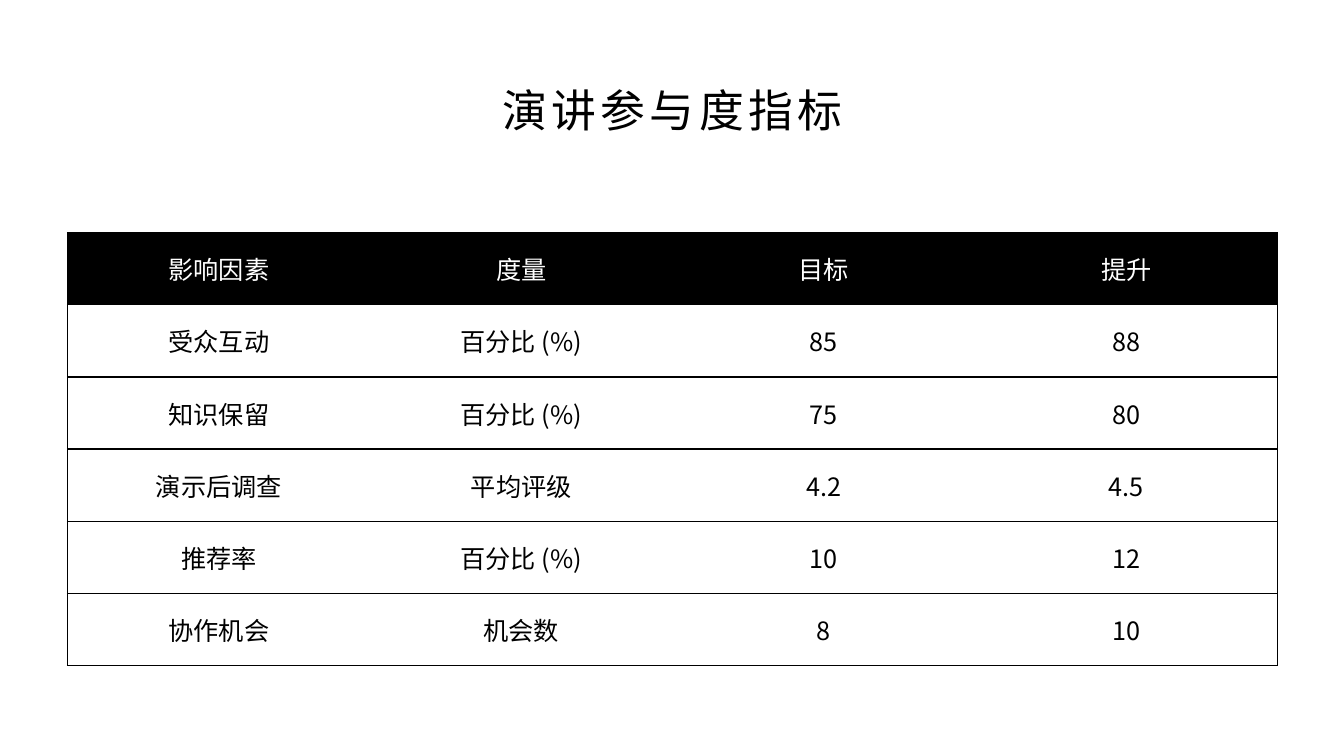
import pptx
import pptx.util
import pptx.dml.color
import pptx.enum.text
import pptx.oxml.ns
import lxml.etree

HUES = {"ink": "000000", "paper": "FFFFFF"}
FACE = "Noto Sans CJK SC"
ROWS = [
    ("影响因素", "度量", "目标", "提升"),
    ("受众互动", "百分比 (%)", "85", "88"),
    ("知识保留", "百分比 (%)", "75", "80"),
    ("演示后调查", "平均评级", "4.2", "4.5"),
    ("推荐率", "百分比 (%)", "10", "12"),
    ("协作机会", "机会数", "8", "10"),
]


def write(frame, text, size, hue):
    """Put one centred line in the frame, in the deck's font."""
    frame.vertical_anchor = pptx.enum.text.MSO_ANCHOR.MIDDLE
    para = frame.paragraphs[0]
    para.alignment = pptx.enum.text.PP_ALIGN.CENTER
    run = para.add_run()
    run.text = text
    look = {"name": FACE, "size": pptx.util.Pt(size), "bold": False}
    for key, value in look.items():
        setattr(run.font, key, value)
    run.font.color.rgb = pptx.dml.color.RGBColor.from_string(HUES[hue])
    props = run._r.get_or_add_rPr()
    lxml.etree.SubElement(props, pptx.oxml.ns.qn("a:ea"), typeface=FACE)
    return para, props


def edge(cell, side, drawn):
    """Draw or hide one border of a cell."""
    props = cell._tc.get_or_add_tcPr()
    line = lxml.etree.SubElement(props, pptx.oxml.ns.qn("a:ln" + side), w="12700")
    kind = "a:solidFill" if drawn else "a:noFill"
    fill = lxml.etree.SubElement(line, pptx.oxml.ns.qn(kind))
    if drawn:
        lxml.etree.SubElement(fill, pptx.oxml.ns.qn("a:srgbClr"), val=HUES["ink"])


deck = pptx.Presentation()
deck.slide_width = pptx.util.Inches(13.33)
deck.slide_height = pptx.util.Inches(7.5)
slide = deck.slides.add_slide(deck.slide_layouts[5])

# Title
title = slide.shapes.title
place = {"left": 0.92, "top": 0.4, "width": 11.5, "height": 1.45}
for key, value in place.items():
    setattr(title, key, pptx.util.Inches(value))
para, props = write(title.text_frame, "演讲参与度指标", 32, "ink")
para.line_spacing = 0.9
props.set("spc", "300")

# Table: equal columns and rows
count, last = len(ROWS), len(ROWS[0]) - 1
wide, high = pptx.util.Inches(3), pptx.util.Inches(4.29 / count)
table = slide.shapes.add_table(
    count, last + 1, pptx.util.Inches(0.67), pptx.util.Inches(2.31),
    wide * (last + 1), high * count).table
for key in ("first_row", "horz_banding"):
    setattr(table, key, False)
for col in table.columns:
    col.width = wide
for row in table.rows:
    row.height = high

for r, row in enumerate(ROWS):
    ground, hue = ("ink", "paper") if r == 0 else ("paper", "ink")
    for c, text in enumerate(row):
        cell = table.cell(r, c)
        cell.vertical_anchor = pptx.enum.text.MSO_ANCHOR.MIDDLE
        sides = {"L": c == 0, "R": c == last, "T": True, "B": True}
        for side, drawn in sides.items():
            edge(cell, side, drawn)
        cell.fill.solid()
        cell.fill.fore_color.rgb = pptx.dml.color.RGBColor.from_string(HUES[ground])
        write(cell.text_frame, text, 18, hue)

deck.save("out.pptx")
